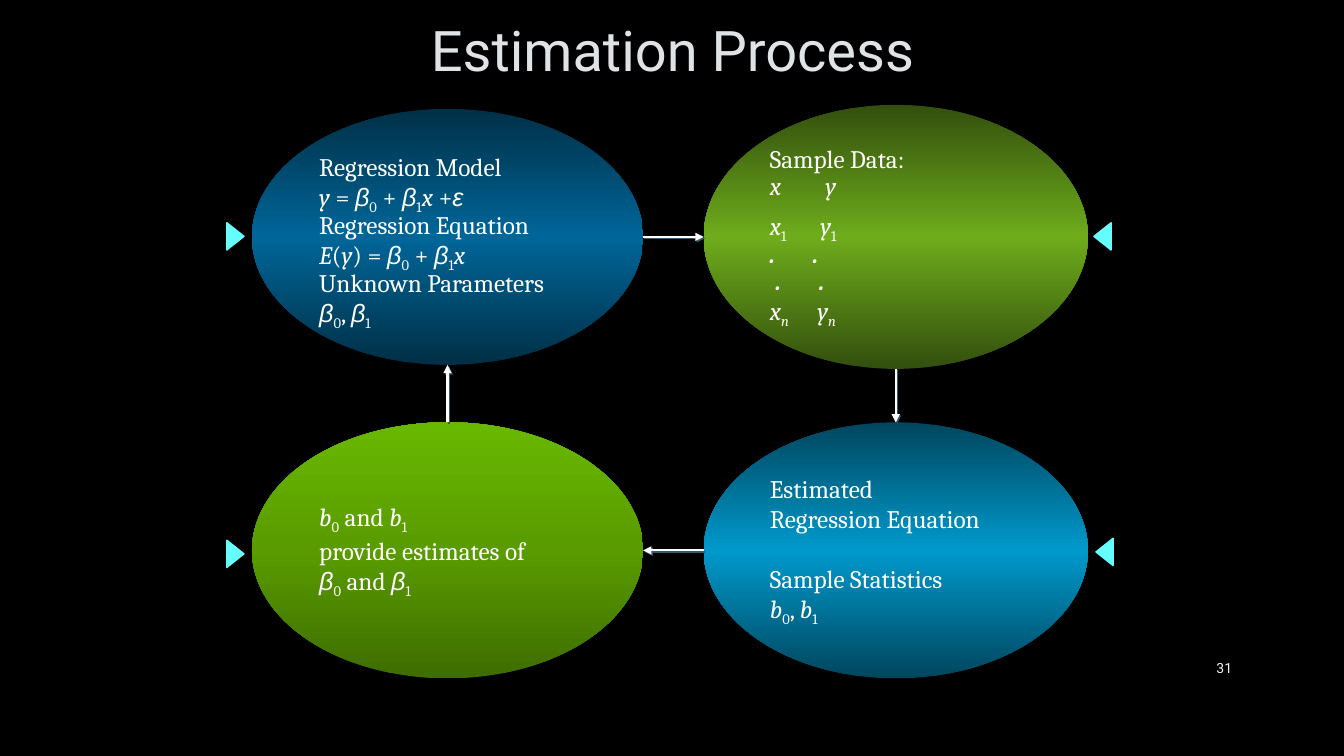
from copy import deepcopy

from lxml.etree import SubElement
from pptx import Presentation
from pptx.dml.color import RGBColor
from pptx.enum.shapes import MSO_CONNECTOR, MSO_SHAPE
from pptx.enum.text import MSO_ANCHOR, PP_ALIGN
from pptx.oxml import parse_xml
from pptx.oxml.ns import nsdecls, qn
from pptx.util import Inches, Pt

WIDE, HIGH = Inches(13.33), Inches(7.5)
HUES = {
    "back": "000000", "title": "DFE3E5", "text": "FFFFFF", "page": "F2F2F2",
    "mark": "66FFFF", "shade": "335B74",
    "navy": "006699", "navy dark": "002F46",
    "olive": "6EAC1C", "olive dark": "334F0D",
    "lime": "599B00", "lime dark": "3E6D00", "lime light": "69B800",
    "sky": "0099CC", "sky dark": "00465E",
}
# Columns and rows in percent of the slide: start, size
LEFT, RIGHT = (18.75, 29.1), (52.36, 28.58)
TOP, TALL, LOW = (14.4, 33.87), (13.87, 34.93), (55.87, 33.87)

# Run styles: i italic, b bold, s subscript, g Greek letter
BETA0 = [("β", "gi"), ("0", "s")]
BETA1 = [("β", "gi"), ("1", "s")]
EST0 = [("b", "i"), ("0", "s")]
EST1 = [("b", "i"), ("1", "s")]
LINEAR = [*BETA0, (" + ", ""), *BETA1, ("x", "i")]
# Each line: runs, space before in points, tab stops in inches
MODEL = [
    ([("Regression Model", "")], 0, ()),
    ([("y", "i"), (" = ", ""), *LINEAR, (" +", ""), ("ε", "gi")], 0, ()),
    ([("Regression Equation", "")], 0, ()),
    ([("E", "i"), ("(", ""), ("y", "i"), (") = ", ""), *LINEAR], 0, ()),
    ([("Unknown Parameters", "")], 0, ()),
    ([*BETA0, (", ", ""), *BETA1], 0, ()),
]
SAMPLE = [
    ([("Sample Data:", "")], 0, ()),
    ([("x\ty", "i")], 0, (0.55,)),
    ([("x", "i"), ("1", "s"), ("\ty", "i"), ("1", "s")], 6.5, (0.5,)),
    ([(".\t.", "bi")], 0, (0.43,)),
    ([("\t.\t.", "bi")], 0, (0.06, 0.49)),
    ([("x", "i"), ("n", "is"), ("\ty", "i"), ("n", "is")], 0, (0.47,)),
]
RESULT = [
    ([*EST0, (" and ", ""), *EST1], 0, ()),
    ([("provide estimates of", "")], 0, ()),
    ([*BETA0, (" and ", ""), *BETA1], 0, ()),
]
FITTED = [
    ([("Estimated", "")], 0, ()),
    ([("Regression Equation", "")], 0, ()),
    ([("Sample Statistics", "")], 21, ()),
    ([*EST0, (", ", ""), *EST1], 0, ()),
]


def hue(name):
    return RGBColor.from_string(HUES[name])


def px(share):
    return round(WIDE * share / 100)


def py(share):
    return round(HIGH * share / 100)


def box(col, row):
    """Turn a column and a row into left, top, width, height."""
    return px(col[0]), py(row[0]), px(col[1]), py(row[1])


def add_run(para, text, size, font, color):
    run = para.add_run()
    run.text = text
    run.font.size, run.font.name = Pt(size), font
    run.font.color.rgb = hue(color)
    return run


def add_line(para, runs, before, tabs, pitch):
    if tabs:
        stops = SubElement(para._p.get_or_add_pPr(), qn("a:tabLst"))
        for stop in tabs:
            SubElement(stops, qn("a:tab"), pos=str(Inches(stop)), algn="l")
    para.alignment = PP_ALIGN.LEFT
    para.line_spacing = pitch
    if before:
        para.space_before = Pt(before)
    for text, style in runs:
        face = "Arial" if "g" in style else "Cambria"
        run = add_run(para, text, 18, face, "text")
        run.font.italic, run.font.bold = "i" in style, "b" in style
        if "s" in style:
            run.font._element.set("baseline", "-25000")


def shade(shape, names, angle):
    """Fill with three evenly placed colours."""
    shape.fill.gradient()
    shape.fill.gradient_angle = angle
    stops = shape._element.spPr.find(".//" + qn("a:gsLst"))
    stops.append(deepcopy(stops[-1]))
    for spot, (stop, name) in enumerate(zip(shape.fill.gradient_stops, names)):
        stop.position = spot / 2
        stop.color.rgb = hue(name)


def add_oval(slide, col, row, names, lines, pitch=1.0, angle=270, drop=0.05):
    oval = slide.shapes.add_shape(MSO_SHAPE.OVAL, *box(col, row))
    oval.shadow.inherit = False
    shade(oval, names, angle)
    oval.line.fill.background()
    frame = oval.text_frame
    frame.word_wrap = False
    frame.vertical_anchor = MSO_ANCHOR.MIDDLE
    frame.margin_top = Inches(drop)
    for spot, line in enumerate(lines):
        para = frame.add_paragraph() if spot else frame.paragraphs[0]
        add_line(para, *line, pitch)


def add_arrow(slide, x1, y1, x2, y2):
    arrow = slide.shapes.add_connector(
        MSO_CONNECTOR.STRAIGHT, px(x1), py(y1), px(x2), py(y2))
    arrow.line.color.rgb = hue("text")
    arrow.line.width = Pt(1.5)
    SubElement(arrow.line._get_or_add_ln(), qn("a:tailEnd"), type="triangle")
    arrow._element.spPr.append(parse_xml(
        f'<a:effectLst {nsdecls("a")}><a:outerShdw dist="{Pt(1.4)}" '
        f'dir="2700000" algn="ctr"><a:srgbClr val="{HUES["shade"]}"/>'
        '</a:outerShdw></a:effectLst>'))


def add_mark(slide, x, y, turn):
    mark = slide.shapes.add_shape(
        MSO_SHAPE.ISOSCELES_TRIANGLE, *box((x, 2.03), (y, 2.27)))
    mark.rotation = turn
    mark.shadow.inherit = False
    mark.fill.solid()
    mark.fill.fore_color.rgb = mark.line.color.rgb = hue("mark")
    mark.line.width = Pt(1)


def add_label(shape, spot, text, size, color, align):
    shape.left, shape.top, shape.width, shape.height = spot
    frame = shape.text_frame
    frame.word_wrap = True
    frame.vertical_anchor = MSO_ANCHOR.MIDDLE
    frame.paragraphs[0].alignment = align
    add_run(frame.paragraphs[0], text, size, "Roboto", color)


def main():
    deck = Presentation()
    deck.slide_width, deck.slide_height = WIDE, HIGH
    slide = deck.slides.add_slide(deck.slide_layouts[5])
    slide.background.fill.solid()
    slide.background.fill.fore_color.rgb = hue("back")
    add_label(slide.shapes.title, box((18.15, 63.77), (0.53, 11.87)),
              "Estimation Process", 40, "title", PP_ALIGN.CENTER)

    add_oval(slide, LEFT, TOP, ("navy dark", "navy", "navy dark"),
             MODEL, pitch=0.9, drop=0.14)
    add_oval(slide, RIGHT, TALL, ("olive dark", "olive", "olive dark"),
             SAMPLE, pitch=0.9)
    add_oval(slide, LEFT, LOW, ("lime dark", "lime", "lime light"),
             RESULT, angle=90)
    add_oval(slide, RIGHT, LOW, ("sky dark", "sky", "sky dark"), FITTED)

    edge, mid1, mid2 = sum(LEFT), LEFT[0] + LEFT[1] / 2, RIGHT[0] + RIGHT[1] / 2
    row1, row2 = TOP[0] + TOP[1] / 2, LOW[0] + LOW[1] / 2
    add_arrow(slide, edge, row1, RIGHT[0], row1)
    add_arrow(slide, RIGHT[0], row2, edge, row2)
    add_arrow(slide, mid2, sum(TALL), mid2, LOW[0])
    add_arrow(slide, mid1, LOW[0], mid1, sum(TOP))

    for x, y, turn in ((16.5, 30.13, 90), (81.02, 30.13, 270),
                       (81.17, 71.87, 270), (16.5, 72.13, 90)):
        add_mark(slide, x, y, turn)

    page = slide.shapes.add_textbox(0, 0, 0, 0)
    add_label(page, box((86.27, 6.15), (85.73, 5.33)),
              "31", 10, "page", PP_ALIGN.RIGHT)
    deck.save("out.pptx")


if __name__ == "__main__":
    main()
